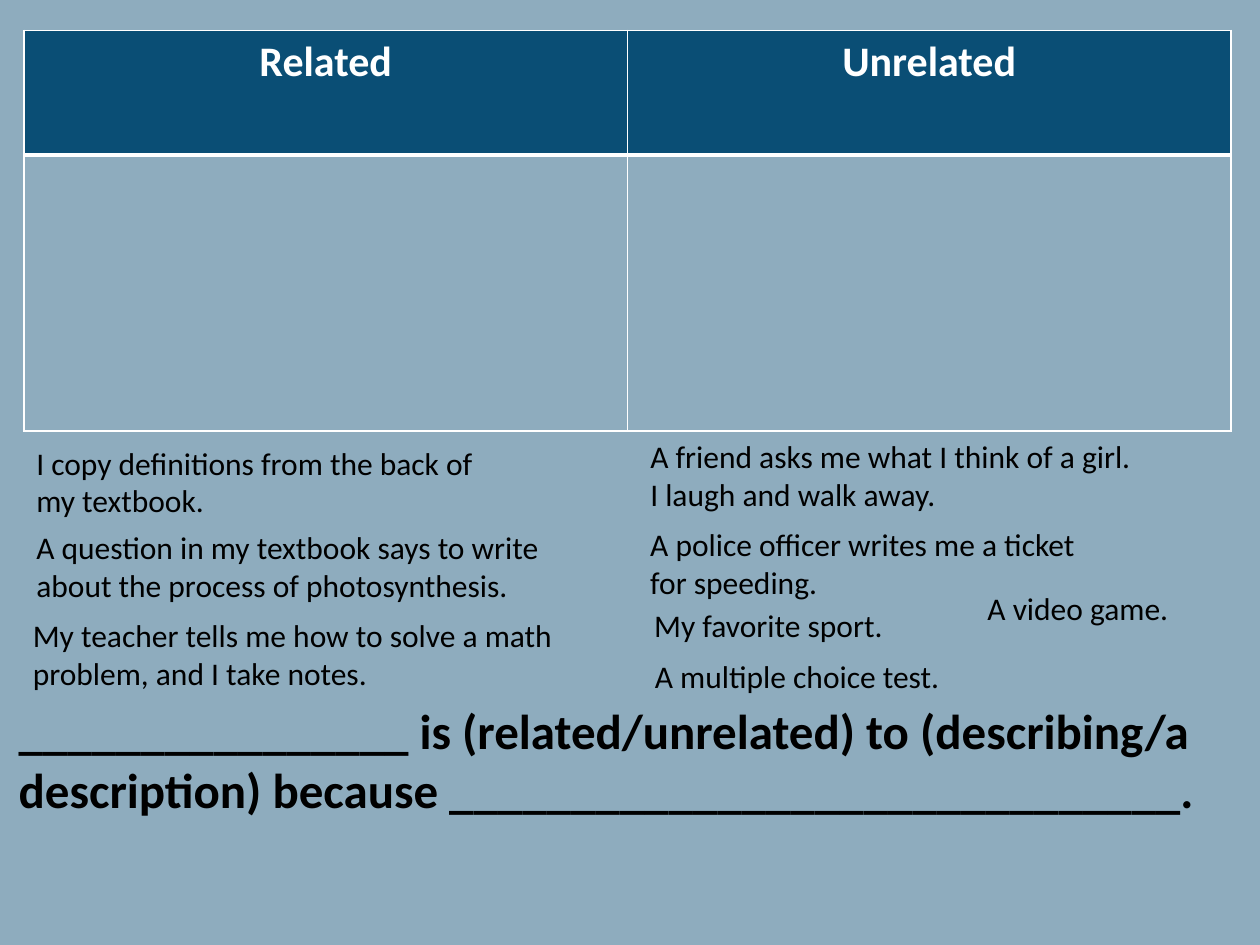
from lxml import etree
from pptx import Presentation
from pptx.dml.color import RGBColor
from pptx.enum.text import MSO_AUTO_SIZE, PP_ALIGN
from pptx.oxml.ns import qn
from pptx.util import Pt

CENTER = PP_ALIGN.CENTER
GROW = MSO_AUTO_SIZE.SHAPE_TO_FIT_TEXT

NAVY = RGBColor(0x0A, 0x4E, 0x75)
MIST = RGBColor(0x8E, 0xAC, 0xBE)
WHITE = RGBColor(0xFF, 0xFF, 0xFF)
BLACK = RGBColor(0, 0, 0)
FONT = "Calibri"

HEADINGS = ["Related", "Unrelated"]
HEADER_HEIGHT = 71.3
EXAMPLES = [
    (0, 96.8, 319, 73, "My teacher tells me how to solve a math\nproblem, and I take notes."),
    (2, 46.4, 305, 51, "A question in my textbook says to write\nabout the process of photosynthesis."),
    (352.8, 44.8, 261, 51, "A police officer writes me a ticket\nfor speeding."),
    (352.8, -5.5, 292, 51, "A friend asks me what I think of a girl.\nI laugh and walk away."),
    (545.5, 81.5, 119, 51, "A video game."),
    (355, 91.2, 150.5, 51, "My favorite sport."),
    (355.5, 120, 349, 29, "A multiple choice test."),
    (2, -1.8, 271.5, 51, "I copy definitions from the back of\nmy textbook."),
]
SENTENCE_FRAME = (
    "________________ is (related/unrelated) to (describing/a description) "
    "because ______________________________."
)


def style_text(frame, size, color, bold=False):
    for paragraph in frame.paragraphs:
        for run in paragraph.runs:
            run.font.name = FONT
            run.font.size = Pt(size)
            run.font.bold = bold
            run.font.color.rgb = color


def set_borders(cell, top, bottom):
    properties = cell._tc.get_or_add_tcPr()
    for side, width in (("L", 1), ("R", 1), ("T", top), ("B", bottom)):
        line = etree.SubElement(properties, qn(f"a:ln{side}"), w=str(Pt(width)))
        fill = etree.SubElement(line, qn("a:solidFill"))
        etree.SubElement(fill, qn("a:srgbClr"), val=str(WHITE))


def add_sorting_table(slide, left, top, width, height):
    table = slide.shapes.add_table(
        2, len(HEADINGS), Pt(left), Pt(top), Pt(width), Pt(height)
    ).table
    table.rows[0].height = Pt(HEADER_HEIGHT)
    table.rows[1].height = Pt(height - HEADER_HEIGHT)
    for column, heading in enumerate(HEADINGS):
        header, answer = table.cell(0, column), table.cell(1, column)
        set_borders(header, 1, 3)
        header.fill.solid()
        header.fill.fore_color.rgb = NAVY
        header.text_frame.text = heading
        header.text_frame.paragraphs[0].alignment = CENTER
        style_text(header.text_frame, 24, WHITE, bold=True)
        set_borders(answer, 3, 1)
        answer.fill.background()


def add_text(slide, left, top, width, height, text, size, wrap, bold=False):
    frame = slide.shapes.add_textbox(Pt(left), Pt(top), Pt(width), Pt(height)).text_frame
    frame.word_wrap = wrap
    frame.auto_size = GROW
    frame.text = text
    style_text(frame, size, BLACK, bold)


def add_examples(slide, left, top):
    for x, y, width, height, text in EXAMPLES:
        add_text(slide, left + x, top + y, width, height, text, 18, wrap=False)


def add_sentence_frame(slide, left, top, width, height):
    add_text(slide, left, top, width, height, SENTENCE_FRAME, 28, wrap=True, bold=True)


def main():
    deck = Presentation()
    deck.slide_width, deck.slide_height = Pt(720), Pt(540)
    slide = deck.slides.add_slide(deck.slide_layouts[6])
    slide.background.fill.solid()
    slide.background.fill.fore_color.rgb = MIST
    add_sorting_table(slide, 13.7, 17.3, 689.8, 229)
    add_examples(slide, 11.7, 251.8)
    add_sentence_frame(slide, 3.6, 396.7, 703.4, 75)
    deck.save("out.pptx")


if __name__ == "__main__":
    main()
